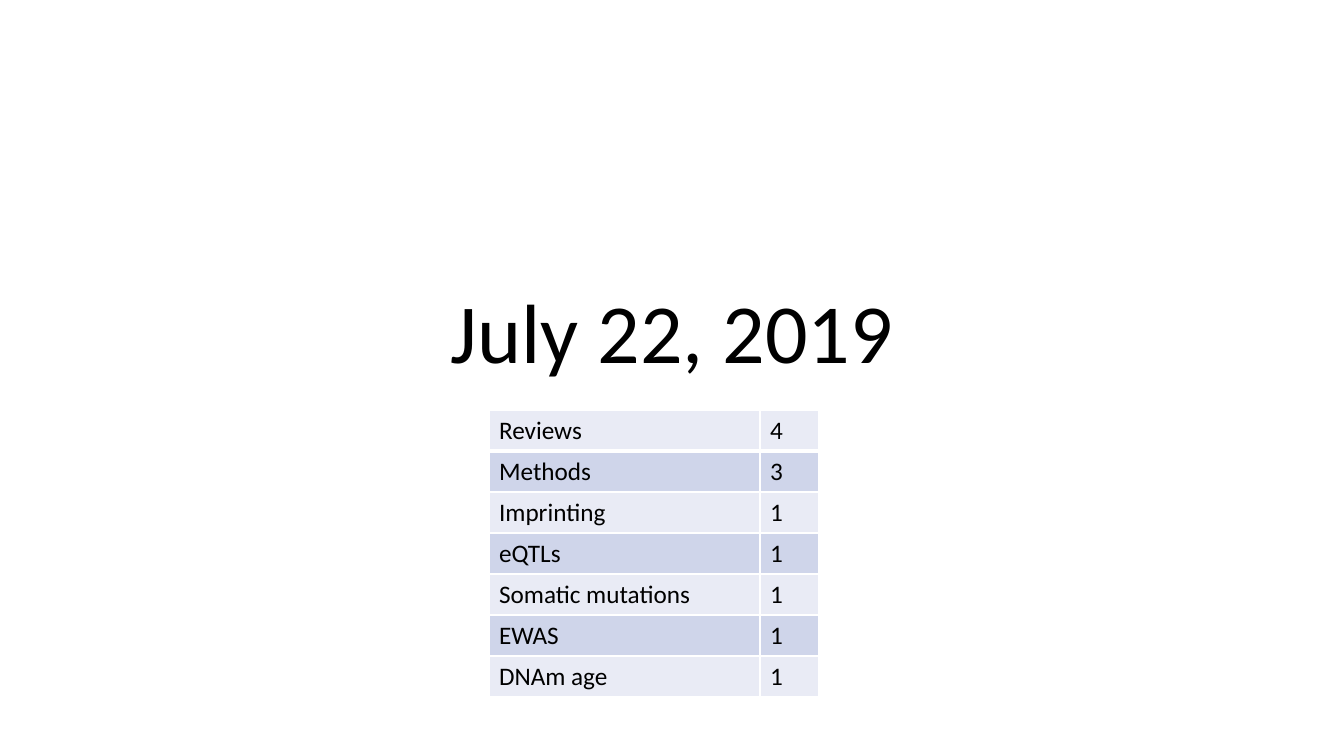
from lxml import etree
from pptx import Presentation
from pptx import util as u
from pptx.dml.color import RGBColor
from pptx.enum import text
from pptx.oxml.ns import qn

EMU_PER_PX = 914400 / 100.8
FONT = "Calibri"
COLORS = {
    "text": "000000",
    "border": "FFFFFF",
    "light_band": "E9EBF5",
    "dark_band": "CFD5EA",
}
TOPIC_COUNTS = [
    ("Reviews", 4),
    ("Methods", 3),
    ("Imprinting", 1),
    ("eQTLs", 1),
    ("Somatic mutations", 1),
    ("EWAS", 1),
    ("DNAm age", 1),
]


def px(length):
    return u.Emu(round(length * EMU_PER_PX))


def color(name):
    return RGBColor.from_string(COLORS[name])


def set_font(paragraph, size):
    paragraph.font.name = FONT
    paragraph.font.size = u.Pt(size)
    paragraph.font.bold = False
    paragraph.font.color.rgb = color("text")


def add_title(slide, wording, left, top, width, height):
    shape = slide.shapes.add_textbox(px(left), px(top), px(width), px(height))
    frame = shape.text_frame
    frame.word_wrap = True
    frame.vertical_anchor = text.MSO_ANCHOR.BOTTOM
    paragraph = frame.paragraphs[0]
    paragraph.text = wording
    paragraph.alignment = text.PP_ALIGN.CENTER
    paragraph.line_spacing = 0.9
    set_font(paragraph, 60)


def set_borders(cell, bottom_width):
    properties = cell._tc.get_or_add_tcPr()
    widths = {"lnL": 1, "lnR": 1, "lnT": 1, "lnB": bottom_width}
    # Border lines must come before the cell fill
    for position, (tag, width) in enumerate(widths.items()):
        line = etree.Element(qn(f"a:{tag}"), w=str(u.Pt(width)))
        fill = etree.SubElement(line, qn("a:solidFill"))
        etree.SubElement(fill, qn("a:srgbClr"), val=COLORS["border"])
        properties.insert(position, line)


def fill_cell(cell, wording, band, bottom_width):
    cell.fill.solid()
    cell.fill.fore_color.rgb = color(band)
    paragraph = cell.text_frame.paragraphs[0]
    paragraph.text = wording
    set_font(paragraph, 18)
    set_borders(cell, bottom_width)


def add_count_table(slide, rows, left, top, column_widths, row_height):
    table = slide.shapes.add_table(
        len(rows), len(column_widths), px(left), px(top),
        px(sum(column_widths)), px(row_height * len(rows))).table
    table.first_row = False
    table.horz_banding = False
    for column, width in zip(table.columns, column_widths):
        column.width = px(width)
    for index, values in enumerate(rows):
        table.rows[index].height = px(row_height)
        band = "dark_band" if index % 2 else "light_band"
        bottom_width = 1 if index else 3
        for cell, value in zip(table.rows[index].cells, values):
            fill_cell(cell, str(value), band, bottom_width)


def main():
    presentation = Presentation()
    presentation.slide_width = px(1344)
    presentation.slide_height = px(756)
    slide = presentation.slides.add_slide(presentation.slide_layouts[6])

    # Date heading
    add_title(slide, "July 22, 2019", 168, 124, 1008, 263)

    # Number of papers per topic
    add_count_table(slide, TOPIC_COUNTS, 489, 410, (271, 59), 41)

    presentation.save("out.pptx")


if __name__ == "__main__":
    main()
